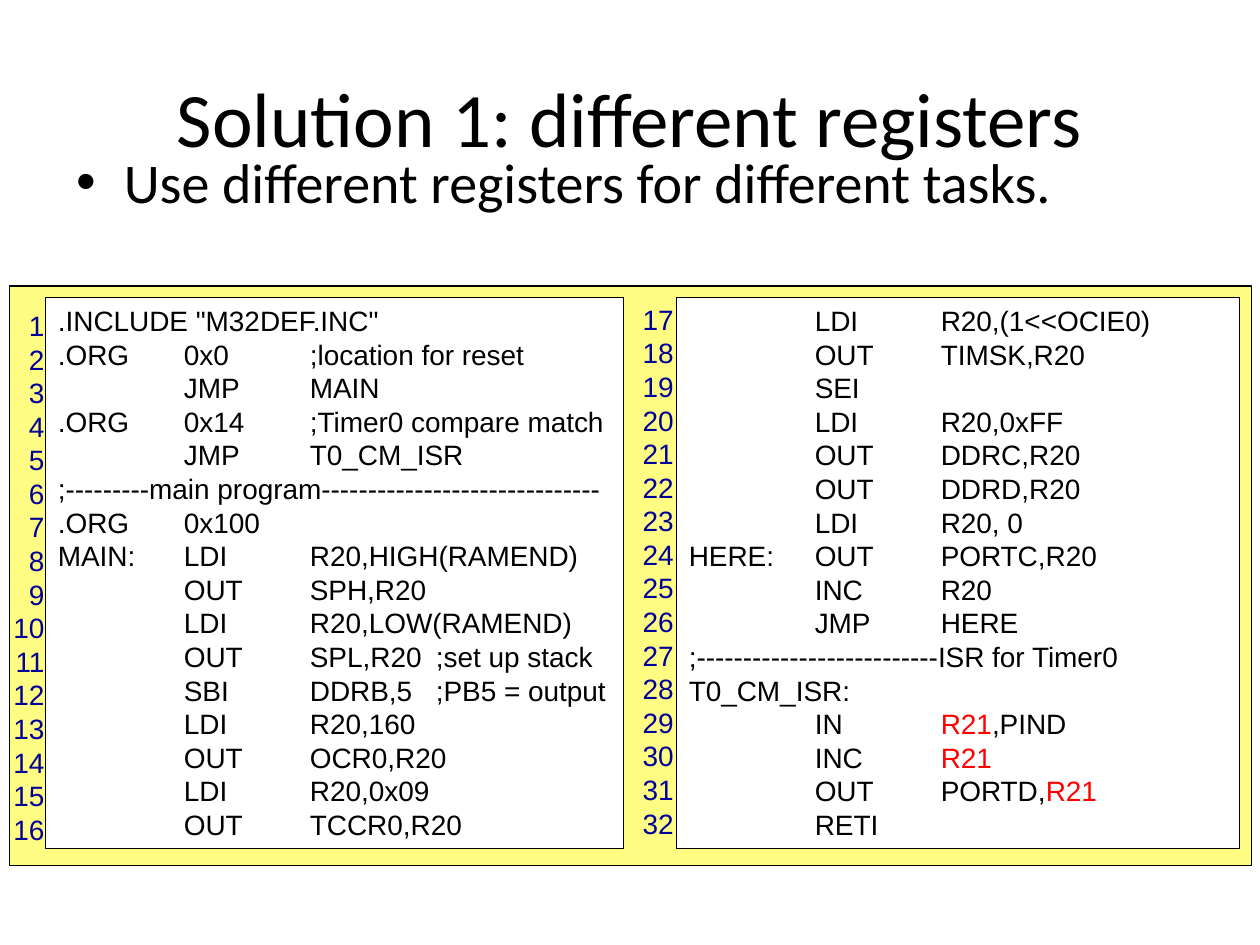
from lxml import etree
from pptx import Presentation
from pptx.dml.color import RGBColor
from pptx.enum.shapes import MSO_SHAPE
from pptx.enum.text import MSO_ANCHOR, PP_ALIGN
from pptx.oxml.ns import qn
from pptx.util import Pt

RECT = MSO_SHAPE.RECTANGLE
TOP, MID = MSO_ANCHOR.TOP, MSO_ANCHOR.MIDDLE
LEFT, MIDDLE, RIGHT = PP_ALIGN.LEFT, PP_ALIGN.CENTER, PP_ALIGN.RIGHT
COLORS = {"ink": "000000", "paper": "FFFFFF", "frame": "FFFC84",
          "number": "000099", "mark": "FF0000"}
MARK = "R21"

LEFT_CODE = """.INCLUDE "M32DEF.INC"
.ORG\t0x0\t;location for reset
\tJMP\tMAIN
.ORG\t0x14\t;Timer0 compare match
\tJMP\tT0_CM_ISR
;---------main program------------------------------
.ORG\t0x100
MAIN:\tLDI\tR20,HIGH(RAMEND)
\tOUT\tSPH,R20
\tLDI\tR20,LOW(RAMEND)
\tOUT\tSPL,R20\t;set up stack
\tSBI\tDDRB,5\t;PB5 = output
\tLDI\tR20,160
\tOUT\tOCR0,R20
\tLDI\tR20,0x09
\tOUT\tTCCR0,R20"""

RIGHT_CODE = """\tLDI\tR20,(1<<OCIE0)
\tOUT\tTIMSK,R20
\tSEI
\tLDI\tR20,0xFF
\tOUT\tDDRC,R20
\tOUT\tDDRD,R20
\tLDI\tR20, 0
HERE:\tOUT\tPORTC,R20
\tINC\tR20
\tJMP\tHERE
;--------------------------ISR for Timer0
T0_CM_ISR:
\tIN\tR21,PIND
\tINC\tR21
\tOUT\tPORTD,R21
\tRETI"""


def write(shape, text, size=16, font="Arial", color="ink", align=LEFT,
          anchor=TOP, tabs=()):
    """Fill a shape with one paragraph per line, with MARK in red."""
    frame = shape.text_frame
    frame.word_wrap = True
    frame.vertical_anchor = anchor
    for row, line in enumerate(text.split("\n")):
        para = frame.add_paragraph() if row else frame.paragraphs[0]
        para.alignment = align
        para.space_before = Pt(0)
        if tabs:
            stops = etree.SubElement(para._p.get_or_add_pPr(), qn("a:tabLst"))
            for stop in tabs:
                etree.SubElement(stops, qn("a:tab"), pos=str(Pt(stop)), algn="l")
        before, found, after = line.partition(MARK)
        for part in (before, found, after):
            if part:
                run = para.add_run()
                run.text = part
                run.font.size = Pt(size)
                run.font.name = font
                tone = "mark" if part == MARK else color
                run.font.color.rgb = RGBColor.from_string(COLORS[tone])


def panel(left, top, width, height, fill):
    box = slide.shapes.add_shape(RECT, Pt(left), Pt(top), Pt(width), Pt(height))
    box.shadow.inherit = False
    box.fill.solid()
    box.fill.fore_color.rgb = RGBColor.from_string(COLORS[fill])
    box.line.color.rgb = RGBColor.from_string(COLORS["ink"])
    box.line.width = Pt(0.75)
    return box


deck = Presentation()
deck.slide_width, deck.slide_height = Pt(720), Pt(540)
slide = deck.slides.add_slide(deck.slide_layouts[1])

# Title and bullet
title, body = slide.placeholders
title.left, title.top, title.width, title.height = Pt(36), Pt(21.6), Pt(648), Pt(90)
write(title, "Solution 1: different registers", size=44, font="Calibri",
      align=MIDDLE, anchor=MID)
body.left, body.top, body.width, body.height = Pt(36.5), Pt(80.75), Pt(654.5), Pt(45.5)
write(body, "Use different registers for different tasks.", size=32, font="Calibri")

# Yellow frame
panel(5.25, 163.5, 710, 331.25, "frame")

# Code panels, each with its column of line numbers
HIGH = 314.75
columns = [(LEFT_CODE, 26, 330.5, -6.5, 172.75, 1),
           (RIGHT_CODE, 386.5, 322, 353, 169.25, 17)]
for code, left, width, edge, top, first in columns:
    write(panel(left, 170, width, HIGH, "paper"), code, tabs=(72, 144, 216))
    count = len(code.split("\n"))
    nums = slide.shapes.add_textbox(Pt(edge), Pt(top), Pt(39), Pt(HIGH))
    write(nums, "\n".join(str(n) for n in range(first, first + count)),
          color="number", align=RIGHT)

deck.save("out.pptx")
